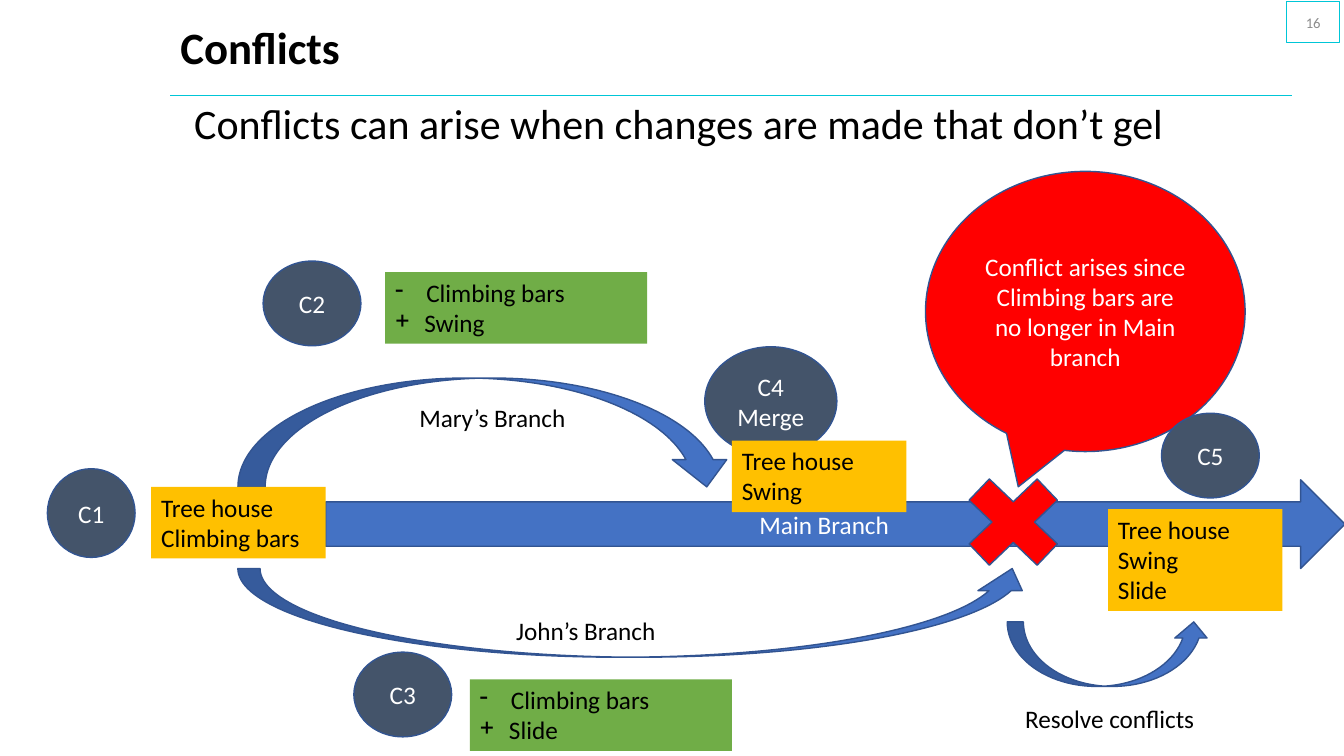
from pptx import Presentation
from pptx.dml.color import RGBColor
from pptx.enum.shapes import MSO_CONNECTOR, MSO_SHAPE
from pptx.enum.text import MSO_ANCHOR, PP_ALIGN
from pptx.oxml.ns import qn
from pptx.util import Inches, Pt

LEFT, CENTER = PP_ALIGN.LEFT, PP_ALIGN.CENTER
TOP, MIDDLE = MSO_ANCHOR.TOP, MSO_ANCHOR.MIDDLE
RECT, CIRCLE = MSO_SHAPE.RECTANGLE, MSO_SHAPE.FLOWCHART_CONNECTOR
CURVE_UP, CURVE_DOWN = MSO_SHAPE.CURVED_UP_ARROW, MSO_SHAPE.CURVED_DOWN_ARROW
RIGHT_ARROW, CROSS = MSO_SHAPE.RIGHT_ARROW, MSO_SHAPE.MATH_MULTIPLY
CALLOUT = MSO_SHAPE.OVAL_CALLOUT

BLACK, WHITE, GRAY = "000000", "FFFFFF", "8C8C8C"
BLUE, NAVY, SLATE, TEAL = "4472C4", "325491", "44546A", "00C6D7"
RED, GOLD, GREEN = "FF0000", "FFC000", "70AD47"
FONT = "Calibri"

# Headings: box, text, size, bold, alignment, anchor, space before
HEADINGS = [
    ((0.47, 0.98, 12.53, 5.94), "Conflicts can arise when changes are made that don’t gel",
     30, False, CENTER, TOP, 10),
    ((1.69, 0.13, 11.31, 0.74), "Conflicts", 32, True, LEFT, MIDDLE, 0),
]
RULE = (1.69, 0.95, 12.81, 0.95)
PAGE_NUMBER = ((12.76, 0.02, 0.53, 0.4), "16")

# Outlined shapes, back to front: preset, box, fill, lines of text
ARROWS = [
    (RIGHT_ARROW, (3.23, 4.76, 10.11, 0.88), BLUE, ["Main Branch"]),
    (CURVE_UP, (2.36, 5.64, 7.9, 0.88), BLUE, []),
    (CURVE_DOWN, (2.36, 3.75, 4.92, 1.08), BLUE, []),
    (CURVE_UP, (9.99, 6.17, 2.01, 0.64), BLUE, []),
    (CROSS, (9.4, 4.56, 1.3, 1.24), RED, []),
]
CONFLICT = (CALLOUT, (9.18, 1.7, 3.17, 2.78), RED,
            ["Conflict arises since Climbing bars are no longer in Main branch"])
CONFLICT_TIP = (10.1, 4.83)
COMMITS = [
    ((0.47, 4.65, 0.87, 0.88), ["C1"]),
    ((2.61, 2.59, 0.97, 0.84), ["C2"]),
    ((3.51, 6.47, 0.97, 0.84), ["C3"]),
    ((6.99, 3.44, 1.31, 1.08), ["C4", "Merge"]),
    ((11.52, 4.1, 0.97, 0.84), ["C5"]),
]

# Boxes: left, top, lines of text
STATES = [
    (1.5, 4.83, ["Tree house", "Climbing bars"]),
    (7.26, 4.37, ["Tree house", "Swing"]),
    (10.99, 5.05, ["Tree house", "Swing", "Slide"]),
]
CHANGES = [
    (3.82, 2.7, {"-": "Climbing bars", "+": "Swing"}),
    (4.66, 6.74, {"-": "Climbing bars", "+": "Slide"}),
]
LABELS = [
    ((5.02, 6.06, 1.88, 0.4), "John’s Branch"),
    ((4.06, 3.94, 1.88, 0.4), "Mary’s Branch"),
    ((10.07, 6.93, 2.01, 0.4), "Resolve conflicts"),
]
STATE_WIDTH, CHANGE_WIDTH = 1.73, 2.6
LINE_HEIGHT, BOX_PADDING = 0.3, 0.11
BULLET_INDENT = {"-": 0.31, "+": 0.29}


def rgb(value):
    return RGBColor.from_string(value)


def write(sp, lines, size=18, color=BLACK, align=LEFT, anchor=TOP, bold=False, **spacing):
    """Fill a shape with one paragraph per line; spacing holds paragraph formats."""
    tf = sp.text_frame
    tf.word_wrap = True
    tf.vertical_anchor = anchor
    for i, line in enumerate(lines):
        p = tf.paragraphs[0] if i == 0 else tf.add_paragraph()
        for name, value in {"alignment": align, **spacing}.items():
            setattr(p, name, value)
        r = p.add_run()
        r.text = line
        for name, value in {"name": FONT, "size": Pt(size), "bold": bold}.items():
            setattr(r.font, name, value)
        r.font.color.rgb = rgb(color)


def add_shape(slide, kind, box, fill=None, line=None, width=1):
    sp = slide.shapes.add_shape(kind, *map(Inches, box))
    sp.shadow.inherit = False
    if fill:
        sp.fill.solid()
        sp.fill.fore_color.rgb = rgb(fill)
    else:
        sp.fill.background()
    if line:
        sp.line.color.rgb = rgb(line)
        sp.line.width = Pt(width)
    else:
        sp.line.fill.background()
    return sp


def add_outlined(slide, kind, box, fill, lines):
    sp = add_shape(slide, kind, box, fill, NAVY)
    write(sp, lines, color=WHITE, align=CENTER, anchor=MIDDLE)
    return sp


def add_box(slide, left, top, width, fill, lines):
    """Add a borderless box as tall as its lines need."""
    height = len(lines) * LINE_HEIGHT + BOX_PADDING
    sp = add_shape(slide, RECT, (left, top, width, height), fill)
    write(sp, lines)
    return sp


def add_bullet(p, char):
    pPr = p._p.get_or_add_pPr()
    indent = Inches(BULLET_INDENT[char])
    pPr.set("marL", str(indent))
    pPr.set("indent", str(-indent))
    bullet = pPr.makeelement(qn("a:buChar"), {"char": char})
    pPr.append(bullet)


def add_text(slide, box, text, **fmt):
    write(slide.shapes.add_textbox(*map(Inches, box)), [text], **fmt)


def main():
    prs = Presentation()
    prs.slide_width, prs.slide_height = Inches(13.33), Inches(7.5)
    slide = prs.slides.add_slide(prs.slide_layouts[6])

    rule = slide.shapes.add_connector(MSO_CONNECTOR.STRAIGHT, *map(Inches, RULE))
    rule.line.color.rgb = rgb(TEAL)
    rule.line.width = Pt(0.5)
    spPr = rule._element.spPr
    spPr.append(spPr.makeelement(qn("a:effectLst"), {}))

    for box, text, size, bold, align, anchor, before in HEADINGS:
        add_text(slide, box, text, size=size, bold=bold, align=align, anchor=anchor,
                 line_spacing=0.9, space_before=Pt(before))
    box, number = PAGE_NUMBER
    sp = add_shape(slide, RECT, box, line=TEAL, width=0.75)
    write(sp, [number], size=10.5, color=GRAY, align=CENTER, anchor=MIDDLE)

    for arrow in ARROWS:
        add_outlined(slide, *arrow)
    callout = add_outlined(slide, *CONFLICT)
    left, top, width, height = CONFLICT[1]
    callout.adjustments[0] = (CONFLICT_TIP[0] - left) / width - 0.5
    callout.adjustments[1] = (CONFLICT_TIP[1] - top) / height - 0.5
    for box, lines in COMMITS:
        add_outlined(slide, CIRCLE, box, SLATE, lines)

    for left, top, lines in STATES:
        add_box(slide, left, top, STATE_WIDTH, GOLD, lines)
    for left, top, changes in CHANGES:
        sp = add_box(slide, left, top, CHANGE_WIDTH, GREEN, list(changes.values()))
        for p, sign in zip(sp.text_frame.paragraphs, changes):
            add_bullet(p, sign)
    for box, text in LABELS:
        add_text(slide, box, text)

    prs.save("out.pptx")


if __name__ == "__main__":
    main()
